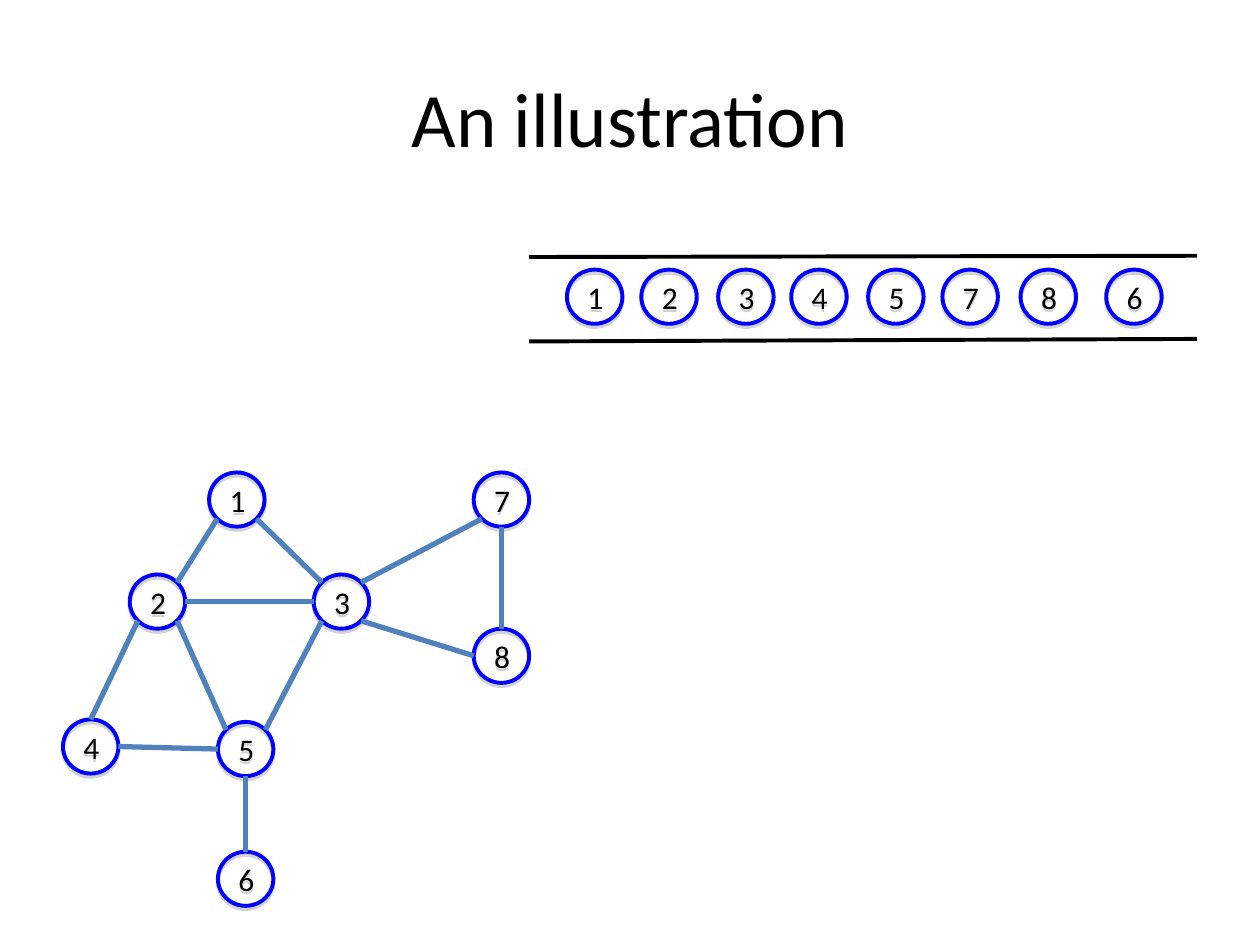
import math
from dataclasses import dataclass
from lxml import etree
from pptx import Presentation
from pptx import util as u
from pptx.dml.color import RGBColor
from pptx.enum import shapes, text
from pptx.oxml import parse_xml
from pptx.oxml.ns import nsdecls, qn


@dataclass(frozen=True)
class Theme:
    """Hold the colours, type sizes and line widths."""
    font: str = "Calibri"
    ink: str = "000000"
    ring: str = "0000FF"
    edge: str = "4F81BD"
    head: int = 44
    label: int = 18
    thin: float = 2.25
    thick: float = 3


T = Theme()
NODE = (44, 43)
TOP, TOP_L, LEFT, BOT_L, BOT, BOT_R, RIGHT, TOP_R = range(8)


def px(n):
    """Turn px, 100 to the inch, into EMU."""
    return u.Emu(round(n * 9144))


def style(frame, size):
    """Centre a frame's text and set its font."""
    frame.vertical_anchor = text.MSO_ANCHOR.MIDDLE
    para = frame.paragraphs[0]
    para.alignment = text.PP_ALIGN.CENTER
    font = para.runs[0].font
    font.name, font.size = T.font, u.Pt(size)
    font.color.rgb = RGBColor.from_string(T.ink)


def stroke(shape, color, width):
    """Set the colour and width of an outline."""
    shape.line.color.rgb = RGBColor.from_string(color)
    shape.line.width = u.Pt(width)


def title(slide, box, words):
    """Place the title in its box."""
    head = slide.shapes.title
    head.left, head.top, head.width, head.height = map(px, box)
    head.text_frame.text = words
    style(head.text_frame, T.head)


def node(slide, x, y, name):
    """Draw a numbered ring with a soft shadow."""
    ring = slide.shapes.add_shape(
        shapes.MSO_SHAPE.OVAL, *map(px, (x, y, *NODE)))
    ring.fill.background()
    stroke(ring, T.ring, T.thin)
    ring.shadow.inherit = False
    ring._element.spPr.find(qn("a:effectLst")).append(parse_xml(
        f'<a:outerShdw {nsdecls("a")} blurRad="0" dist="22860" dir="5400000"'
        ' rotWithShape="0"><a:srgbClr val="808080"><a:alpha val="35000"/>'
        '</a:srgbClr></a:outerShdw>'))
    ring.text_frame.text = name
    style(ring.text_frame, T.label)
    return ring


def line(slide, start, end, color, width):
    """Draw a straight line between two points in EMU."""
    link = slide.shapes.add_connector(
        shapes.MSO_CONNECTOR.STRAIGHT, *start, *end)
    stroke(link, color, width)
    etree.SubElement(link._element.spPr, qn("a:effectLst"))
    return link


def site(ring, k):
    """Find connection site k, counted anticlockwise from the top."""
    turn = math.radians(90 + 45 * k)
    x = ring.left + ring.width / 2 * (1 + math.cos(turn))
    y = ring.top + ring.height / 2 * (1 - math.sin(turn))
    return u.Emu(round(x)), u.Emu(round(y))


def join(slide, a, i, b, j):
    """Link site i of ring a to site j of ring b."""
    link = line(slide, site(a, i), site(b, j), T.edge, T.thick)
    glue = link._element.nvCxnSpPr.cNvCxnSpPr
    for tag, ring, k in (("a:stCxn", a, i), ("a:endCxn", b, j)):
        etree.SubElement(glue, qn(tag), id=str(ring.shape_id), idx=str(k))


def graph(slide, box, spots, edges):
    """Draw the nodes of a graph, then its edges."""
    x, y = box[:2]
    rings = {n: node(slide, x + dx, y + dy, n)
             for n, (dx, dy) in spots.items()}
    for a, i, b, j in edges:
        join(slide, rings[a], i, rings[b], j)


def queue(slide, box, items):
    """Draw two rails with the visited nodes between them."""
    x, y, w, h = box
    for left, right in ((1, 0), (h, h - 2)):
        line(slide, (px(x), px(y + left)), (px(x + w), px(y + right)),
             T.ink, T.thin)
    for name, dx in items:
        node(slide, x + dx, y + 11, name)


def main():
    """Build the slide and save it."""
    deck = Presentation()
    deck.slide_width, deck.slide_height = px(1000), px(750)
    slide = deck.slides.add_slide(deck.slide_layouts[5])
    title(slide, (50, 30, 900, 125), "An illustration")
    spots = {"1": (116, 0), "2": (53, 81), "3": (199, 81), "4": (0, 196),
             "5": (123, 198), "6": (123, 301), "7": (326, 0), "8": (326, 124)}
    edges = [("1", BOT_L, "2", TOP_R), ("1", BOT_R, "3", TOP_L),
             ("2", RIGHT, "3", LEFT), ("2", BOT_L, "4", TOP),
             ("4", RIGHT, "5", LEFT), ("3", BOT_L, "5", TOP_R),
             ("5", BOT, "6", TOP), ("3", TOP_R, "7", BOT_L),
             ("7", BOT, "8", TOP), ("3", BOT_R, "8", LEFT),
             ("2", BOT_R, "5", TOP_L)]
    graph(slide, (50, 375, 370, 344), spots, edges)
    steps = (30, 89, 150, 208, 269, 328, 390, 458)
    queue(slide, (420, 203, 530, 68), zip("12345786", steps))
    deck.save("out.pptx")


if __name__ == "__main__":
    main()
